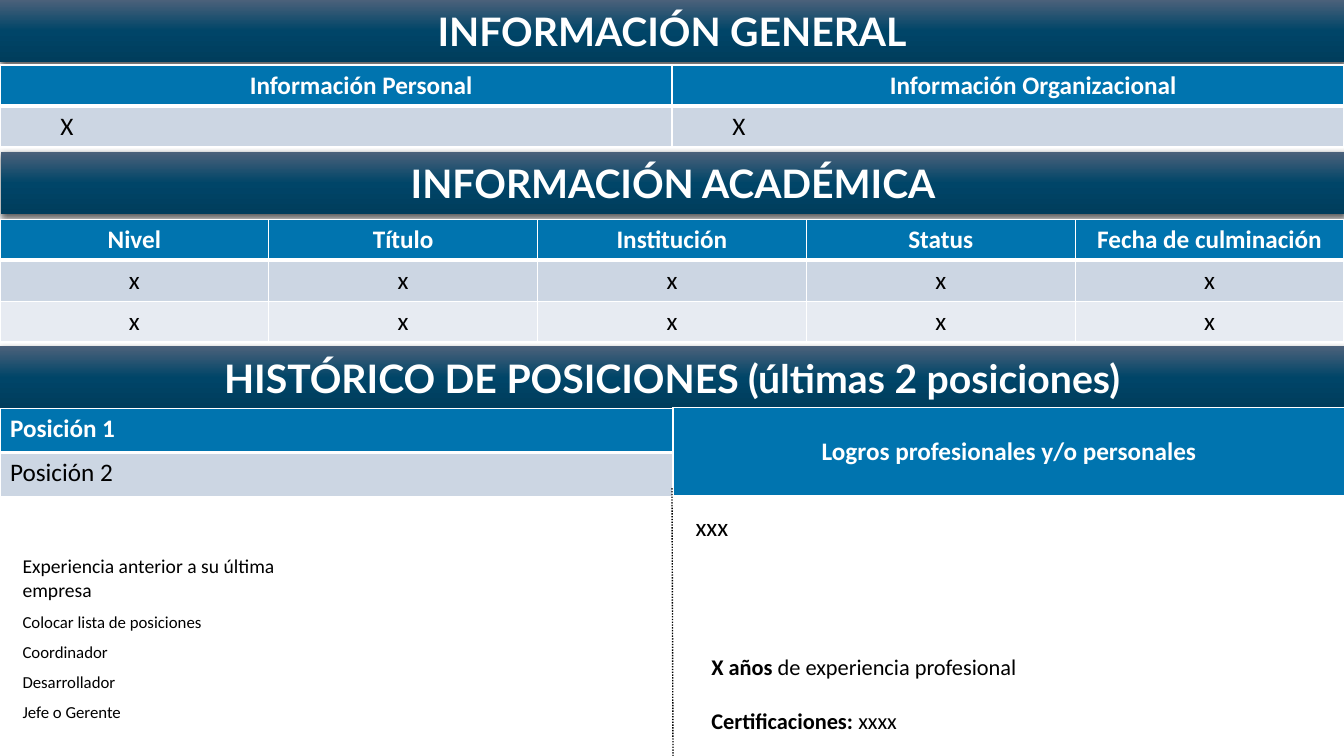
from copy import deepcopy
from dataclasses import dataclass

from lxml.etree import SubElement
from pptx import Presentation
from pptx.dml.color import RGBColor
from pptx.enum.dml import MSO_LINE
from pptx.enum.shapes import MSO_CONNECTOR, MSO_SHAPE
from pptx.enum.text import MSO_ANCHOR, MSO_AUTO_SIZE, PP_ALIGN
from pptx.oxml import parse_xml
from pptx.oxml.ns import nsdecls, qn
from pptx.shapes.autoshape import Shape
from pptx.slide import Slide
from pptx.table import _Cell
from pptx.util import Emu, Pt

WHITE = RGBColor(0xFF, 0xFF, 0xFF)
BLACK = RGBColor(0x00, 0x00, 0x00)
HEADER_BLUE = RGBColor(0x00, 0x74, 0xAF)
BAND_DARK = RGBColor(0xCC, 0xD6, 0xE3)
BAND_LIGHT = RGBColor(0xE7, 0xEB, 0xF2)
BANNER_STOPS = [
    (0.0, RGBColor(0x4B, 0x61, 0x7A)),
    (0.5, RGBColor(0x00, 0x45, 0x68)),
    (1.0, RGBColor(0x00, 0x3D, 0x5C)),
]
SLIDE_WIDTH, SLIDE_HEIGHT = 1280, 720
BANNER_HEIGHT = 59
BODY_FONT = "Calibri"


def px(length: int) -> Emu:
    return Emu(length * 9525)


@dataclass
class Banner:
    text: str
    left: int
    top: int


@dataclass
class Grid:
    rows: list[list[str]]
    left: int
    top: int
    width: int
    row_height: int
    header_align: PP_ALIGN = PP_ALIGN.CENTER
    body_align: PP_ALIGN = PP_ALIGN.LEFT
    indent: int = 0
    anchor: MSO_ANCHOR = MSO_ANCHOR.TOP


@dataclass
class Line:
    runs: list[tuple[str, bool]]
    size: int
    spacing: float = 1.0


@dataclass
class Note:
    lines: list[Line]
    left: int
    top: int
    width: int
    height: int


BANNERS = [
    Banner("INFORMACIÓN GENERAL", 0, 0),
    Banner("INFORMACIÓN ACADÉMICA", 1, 145),
    Banner("HISTÓRICO DE POSICIONES (últimas 2 posiciones)", 0, 330),
]
GRIDS = [
    Grid([["Información Personal", "Información Organizacional"], ["X", "X"]],
         0, 62, SLIDE_WIDTH, 38, indent=48),
    Grid([["Nivel", "Título", "Institución", "Status", "Fecha de culminación"],
          ["x"] * 5, ["x"] * 5],
         0, 209, SLIDE_WIDTH, 38, body_align=PP_ALIGN.CENTER),
    Grid([["Posición 1"], ["Posición 2"]], 0, 389, 641, 42, header_align=PP_ALIGN.LEFT),
    Grid([["Logros profesionales y/o personales"]], 641, 388, 640, 85,
         anchor=MSO_ANCHOR.MIDDLE),
]
POSITIONS = ["Colocar lista de posiciones", "Coordinador", "Desarrollador", "Jefe o Gerente"]
NOTES = [
    Note([Line([("xxx", False)], 18)], 653, 482, 620, 38),
    Note([Line([("Experiencia anterior a su última empresa", False)], 14)]
         + [Line([(position, False)], 12, 1.5) for position in POSITIONS],
         12, 523, 324, 149),
    Note([Line([("X años ", True), ("de experiencia profesional", False)], 16, 2.0),
          Line([("Certificaciones: ", True), ("xxxx", False)], 16, 2.0)],
         668, 592, 400, 113),
]


def format_banner(shape: Shape, banner: Banner) -> None:
    shape.left, shape.top = px(banner.left), px(banner.top)
    shape.width, shape.height = px(SLIDE_WIDTH), px(BANNER_HEIGHT)

    # Three-stop vertical gradient
    shape.fill.gradient()
    shape.fill.gradient_angle = 270
    stop_list = shape._element.spPr.find(f".//{qn('a:gsLst')}")
    stop_list.append(deepcopy(stop_list[-1]))
    for stop, (position, color) in zip(shape.fill.gradient_stops, BANNER_STOPS):
        stop.position = position
        stop.color.rgb = color
    shape.line.fill.background()

    # Soft shadow below
    shape.shadow.inherit = False
    shape._element.spPr.find(qn("a:effectLst")).append(parse_xml(
        f'<a:outerShdw {nsdecls("a")} blurRad="57150" dist="19050" dir="5400000" '
        'algn="ctr" rotWithShape="0"><a:srgbClr val="000000">'
        '<a:alpha val="63000"/></a:srgbClr></a:outerShdw>'))

    frame = shape.text_frame
    frame.auto_size = MSO_AUTO_SIZE.NONE
    frame.word_wrap = True
    frame.vertical_anchor = MSO_ANCHOR.MIDDLE
    frame.text = banner.text
    paragraph = frame.paragraphs[0]
    paragraph.alignment = PP_ALIGN.CENTER
    font = paragraph.font
    font.name, font.size, font.bold = "Lato", Pt(28), True
    font.color.rgb = WHITE


def set_borders(cell: _Cell, bottom_width: int) -> None:
    properties = cell._tc.get_or_add_tcPr()
    for index, side in enumerate(["L", "R", "T", "B"]):
        width = Pt(bottom_width if side == "B" else 1)
        properties.insert(index, parse_xml(
            f'<a:ln{side} {nsdecls("a")} w="{width}"><a:solidFill>'
            f'<a:srgbClr val="{WHITE}"/></a:solidFill></a:ln{side}>'))


def add_grid(slide: Slide, grid: Grid) -> None:
    row_count, column_count = len(grid.rows), len(grid.rows[0])
    table = slide.shapes.add_table(
        row_count, column_count, px(grid.left), px(grid.top),
        px(grid.width), px(grid.row_height * row_count)).table
    table.first_row = table.horz_banding = False
    for row_index, texts in enumerate(grid.rows):
        is_header = row_index == 0
        for column_index, text in enumerate(texts):
            cell = table.cell(row_index, column_index)
            cell.fill.solid()
            cell.fill.fore_color.rgb = [HEADER_BLUE, BAND_DARK, BAND_LIGHT][row_index]
            set_borders(cell, 3 if is_header else 1)
            cell.vertical_anchor = grid.anchor
            cell.text = text
            paragraph = cell.text_frame.paragraphs[0]
            paragraph.alignment = grid.header_align if is_header else grid.body_align
            if grid.indent:
                paragraph.level = 1
                paragraph._p.get_or_add_pPr().set("marL", str(px(grid.indent)))
            font = paragraph.font
            font.name, font.size, font.bold = BODY_FONT, Pt(18), is_header
            font.color.rgb = WHITE if is_header else BLACK


def add_note(slide: Slide, note: Note) -> None:
    frame = slide.shapes.add_textbox(
        px(note.left), px(note.top), px(note.width), px(note.height)).text_frame
    frame.word_wrap = True
    frame.auto_size = MSO_AUTO_SIZE.SHAPE_TO_FIT_TEXT
    for index, line in enumerate(note.lines):
        paragraph = frame.add_paragraph() if index else frame.paragraphs[0]
        paragraph.line_spacing = line.spacing
        font = paragraph.font
        font.name, font.size = BODY_FONT, Pt(line.size)
        font.color.rgb = BLACK
        for text, bold in line.runs:
            run = paragraph.add_run()
            run.text = text
            run.font.bold = bold


def add_divider(slide: Slide) -> None:
    divider = slide.shapes.add_connector(
        MSO_CONNECTOR.STRAIGHT, px(640), px(465), px(641), px(SLIDE_HEIGHT))
    divider.line.color.rgb = BLACK
    divider.line.width = Pt(1)
    divider.line.dash_style = MSO_LINE.ROUND_DOT
    SubElement(divider._element.spPr, qn("a:effectLst"))


def main() -> None:
    presentation = Presentation()
    presentation.slide_width, presentation.slide_height = px(SLIDE_WIDTH), px(SLIDE_HEIGHT)
    slide = presentation.slides.add_slide(presentation.slide_layouts[5])

    # Section banners, the first one being the slide title
    format_banner(slide.shapes.title, BANNERS[0])
    for banner in BANNERS[1:]:
        format_banner(slide.shapes.add_shape(MSO_SHAPE.RECTANGLE, 0, 0, 0, 0), banner)

    # Tables, divider and free text
    for grid in GRIDS:
        add_grid(slide, grid)
    add_divider(slide)
    for note in NOTES:
        add_note(slide, note)

    presentation.save("out.pptx")


if __name__ == "__main__":
    main()
